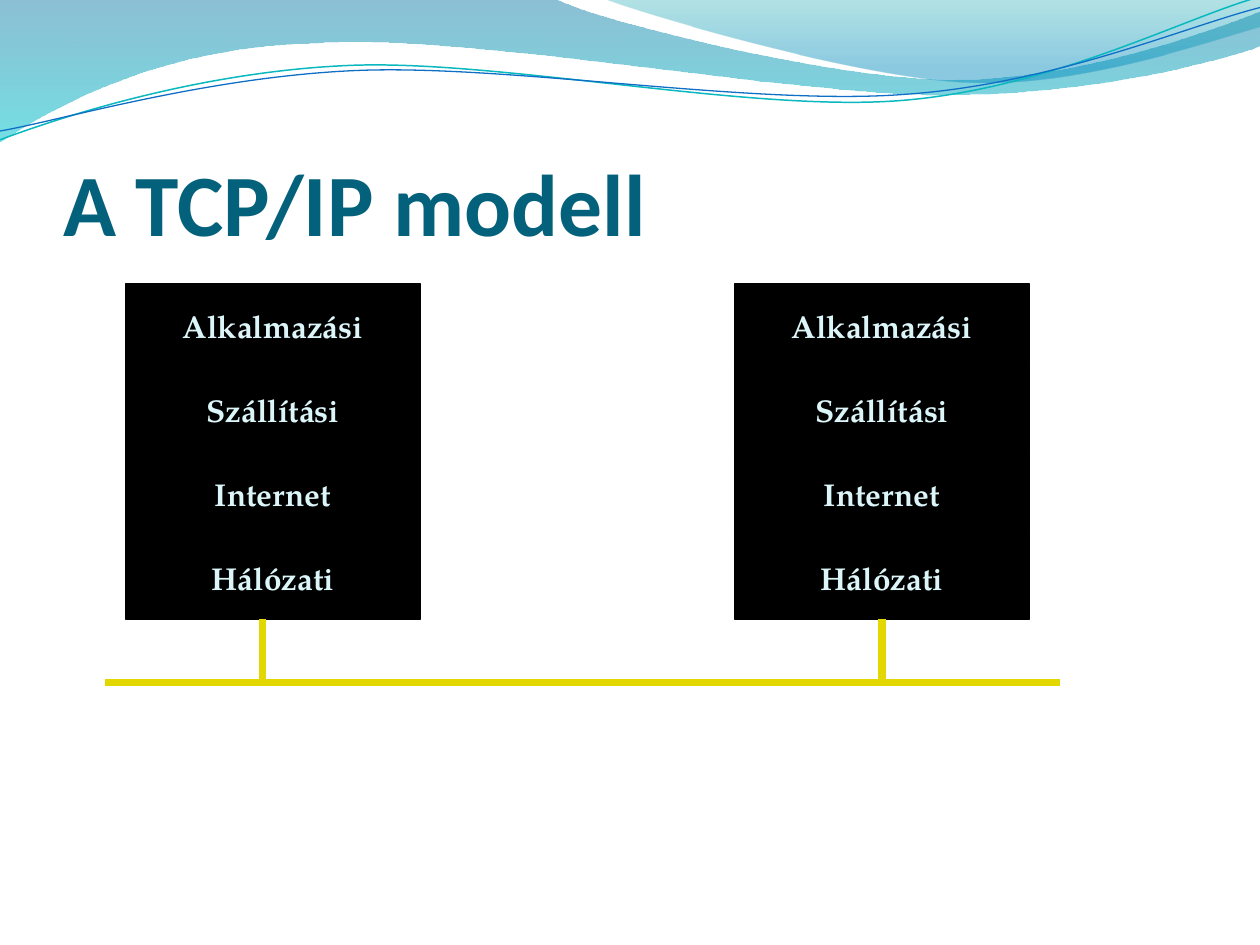
from pptx import Presentation
from pptx.dml.color import RGBColor
from pptx.enum.shapes import MSO_CONNECTOR, MSO_SHAPE
from pptx.enum.text import MSO_ANCHOR, PP_ALIGN
from pptx.oxml.ns import qn
from pptx.util import Inches, Pt
from lxml.etree import SubElement

COLORS = {
    "title": "04617B", "box": "000000", "label": "DBF5F9", "bus": "E2D700",
    "wave_blue": "0074A1", "wave_cyan": "00C6CF",
    "crest_teal": "00A1A9", "crest_blue": "008BBF",
    "line_teal": "0AB8BF", "line_blue": "0F6FC6",
}
LAYERS = ["Alkalmazási", "Szállítási", "Internet", "Hálózati"]
STACK_LEFTS = [1, 35 / 6]
STACK_TOP, BOX_WIDTH, BOX_HEIGHT = 2.25, 7 / 3, 2 / 3
STACK_BOTTOM = STACK_TOP + len(LAYERS) * BOX_HEIGHT
BUS_Y = STACK_BOTTOM + 0.5

WAVE = [(0, 0), (4.4, -0.01),
        (4.76, 0.17, 6.64, 0.63, 7.58, 0.63), (8.53, 0.63, 9.58, 0.26, 10, 0.09),
        (10.01, 0.36),
        (9.83, 0.44, 8.7, 0.76, 7.46, 0.75), (6.22, 0.75, 3.82, 0.28, 2.57, 0.34),
        (1.29, 0.36, 0.46, 0.83, -0.01, 1.13), (0, 0)]
CREST = [(4.79, -0.01),
         (5.09, 0.11, 6.82, 0.62, 7.69, 0.65), (8.56, 0.69, 9.61, 0.32, 10, 0.21),
         (10, 0), (4.79, -0.01)]
TEAL_LINE = [(0, 1.11),
             (0.48, 0.93, 1.58, 0.57, 2.77, 0.52), (3.95, 0.47, 5.93, 0.89, 7.13, 0.8),
             (8.33, 0.71, 9.38, 0.15, 9.98, -0.02)]
BLUE_LINE = [(0, 1.04),
             (0.47, 0.96, 1.64, 0.61, 2.83, 0.56), (4.03, 0.51, 5.97, 0.84, 7.17, 0.75),
             (8.36, 0.67, 9.41, 0.21, 10, 0.06)]


def rgb(name):
    return RGBColor.from_string(COLORS[name])


def write_text(frame, text, font="Calibri", size=18, color="title",
               align=PP_ALIGN.LEFT, anchor=MSO_ANCHOR.MIDDLE, wrap=True):
    frame.word_wrap = wrap
    frame.vertical_anchor = anchor
    paragraph = frame.paragraphs[0]
    paragraph.alignment = align
    run = paragraph.add_run()
    run.text = text
    run.font.name = font
    run.font.size = Pt(size)
    run.font.bold = True
    run.font.color.rgb = rgb(color)


def bend_segments(shape, segments):
    straight_lines = list(shape.element.spPr.iter(qn("a:lnTo")))
    for straight, segment in zip(straight_lines, segments):
        if len(segment) == 2:
            continue
        outline = straight.getparent()
        curve = SubElement(outline, qn("a:cubicBezTo"))
        outline.replace(straight, curve)
        for x, y in zip(segment[::2], segment[1::2]):
            point = SubElement(curve, qn("a:pt"))
            point.set("x", str(Inches(x) - shape.left))
            point.set("y", str(Inches(y) - shape.top))


class SlideBuilder:
    def __init__(self, slide, label_font="TeX Gyre Pagella"):
        self.slide = slide
        self.shapes = slide.shapes
        self.label_font = label_font

    def outline(self, segments, close):
        corners = [(Inches(segment[-2]), Inches(segment[-1])) for segment in segments]
        builder = self.shapes.build_freeform(*corners[0])
        builder.add_line_segments(corners[1:], close=close)
        shape = builder.convert_to_shape()
        shape.shadow.inherit = False
        bend_segments(shape, segments[1:])
        return shape

    def wave(self, segments, stops):
        shape = self.outline(segments, close=True)
        shape.line.fill.background()
        shape.fill.gradient()
        shape.fill.gradient_angle = 270
        for stop, (position, color, opacity) in zip(shape.fill.gradient_stops, stops):
            stop.position = position
            stop.color.rgb = rgb(color)
        colors = shape.element.spPr.iter(qn("a:srgbClr"))
        for element, (position, color, opacity) in zip(colors, stops):
            SubElement(element, qn("a:alpha")).set("val", str(opacity * 1000))

    def curve(self, segments, color, width):
        shape = self.outline(segments, close=False)
        shape.fill.background()
        shape.line.color.rgb = rgb(color)
        shape.line.width = Pt(width)

    def title(self, text):
        title = self.shapes.title
        title.left, title.top = Inches(0.5), Inches(0.77)
        title.width, title.height = Inches(9.08), Inches(1.25)
        frame = title.text_frame
        frame.margin_left = frame.margin_right = frame.margin_bottom = 0
        frame.margin_top = Inches(0.05)
        write_text(frame, text, size=50, anchor=MSO_ANCHOR.BOTTOM)
        self.shapes.element.append(title.element)

    def box(self, shapes, text, left, top):
        shape = shapes.add_shape(MSO_SHAPE.RECTANGLE, Inches(left), Inches(top),
                                 Inches(BOX_WIDTH), Inches(BOX_HEIGHT))
        shape.shadow.inherit = False
        shape.fill.solid()
        shape.fill.fore_color.rgb = rgb("box")
        shape.line.color.rgb = rgb("box")
        shape.line.width = Pt(1)
        write_text(shape.text_frame, text, font=self.label_font, color="label",
                   align=PP_ALIGN.CENTER, wrap=False)
        return shape

    def stack(self, left):
        group = self.shapes.add_group_shape()
        return [self.box(group.shapes, layer, left, STACK_TOP + row * BOX_HEIGHT)
                for row, layer in enumerate(LAYERS)]

    def line(self, x1, y1, x2, y2):
        connector = self.shapes.add_connector(MSO_CONNECTOR.STRAIGHT, Inches(x1),
                                              Inches(y1), Inches(x2), Inches(y2))
        connector.line.color.rgb = rgb("bus")
        connector.line.width = Pt(4.5)
        SubElement(connector.element.spPr, qn("a:effectLst"))
        return connector


def main():
    presentation = Presentation()
    presentation.slide_width, presentation.slide_height = Inches(10), Inches(7.5)
    builder = SlideBuilder(presentation.slides.add_slide(presentation.slide_layouts[5]))

    builder.wave(WAVE, [(0, "wave_blue", 45), (1, "wave_cyan", 55)])
    builder.wave(CREST, [(0, "crest_teal", 30), (0.8, "crest_blue", 45)])
    builder.curve(TEAL_LINE, "line_teal", 0.85)
    builder.curve(BLUE_LINE, "line_blue", 0.75)
    builder.title("A TCP/IP modell")

    sender, receiver = [builder.stack(left) for left in STACK_LEFTS]
    builder.line(25 / 12, STACK_BOTTOM, 25 / 12, BUS_Y)
    receiver_link = builder.line(7, STACK_BOTTOM, 7, BUS_Y)
    receiver_link.begin_connect(receiver[-1], 2)
    builder.line(5 / 6, BUS_Y, 101 / 12, BUS_Y)

    presentation.save("out.pptx")


if __name__ == "__main__":
    main()
